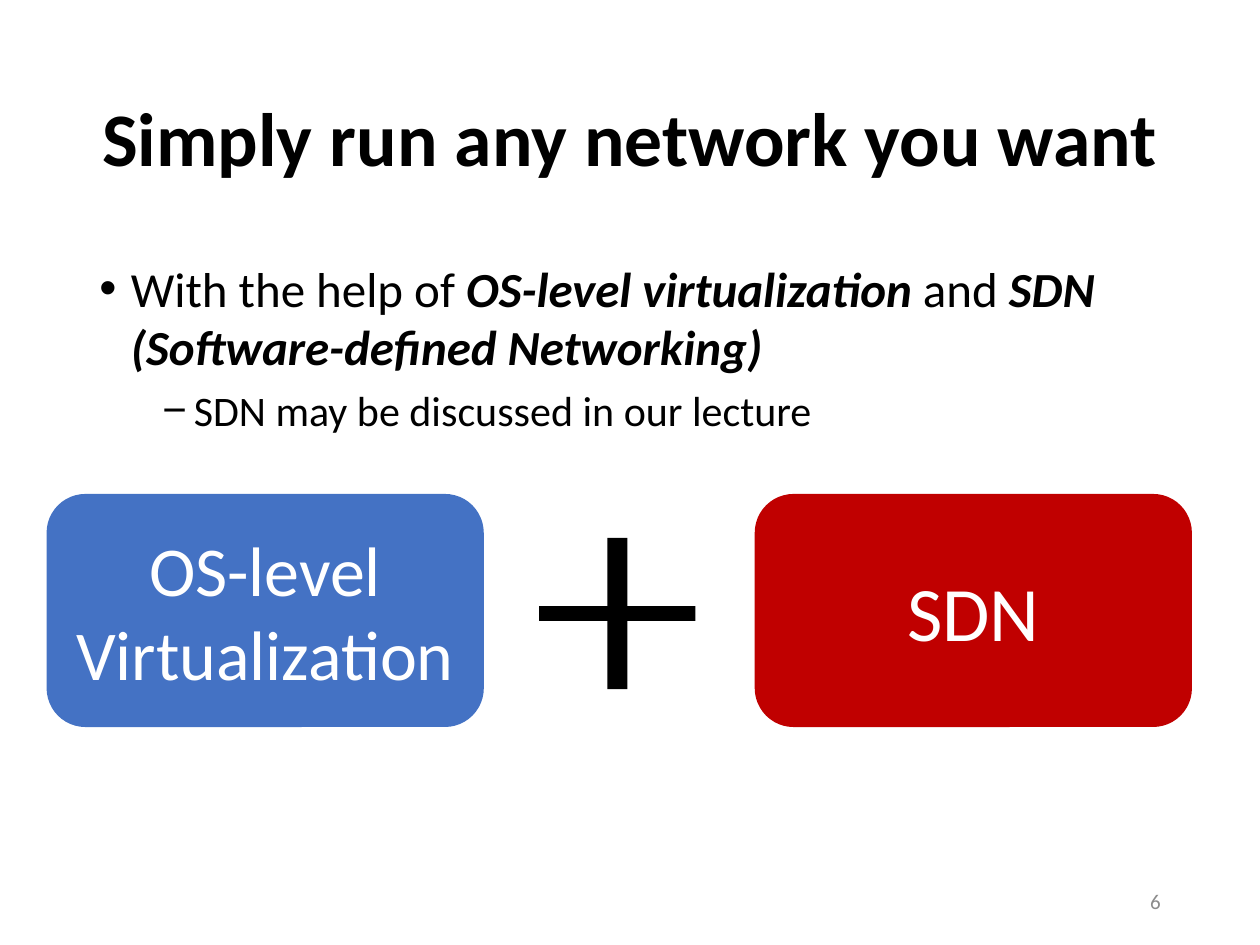
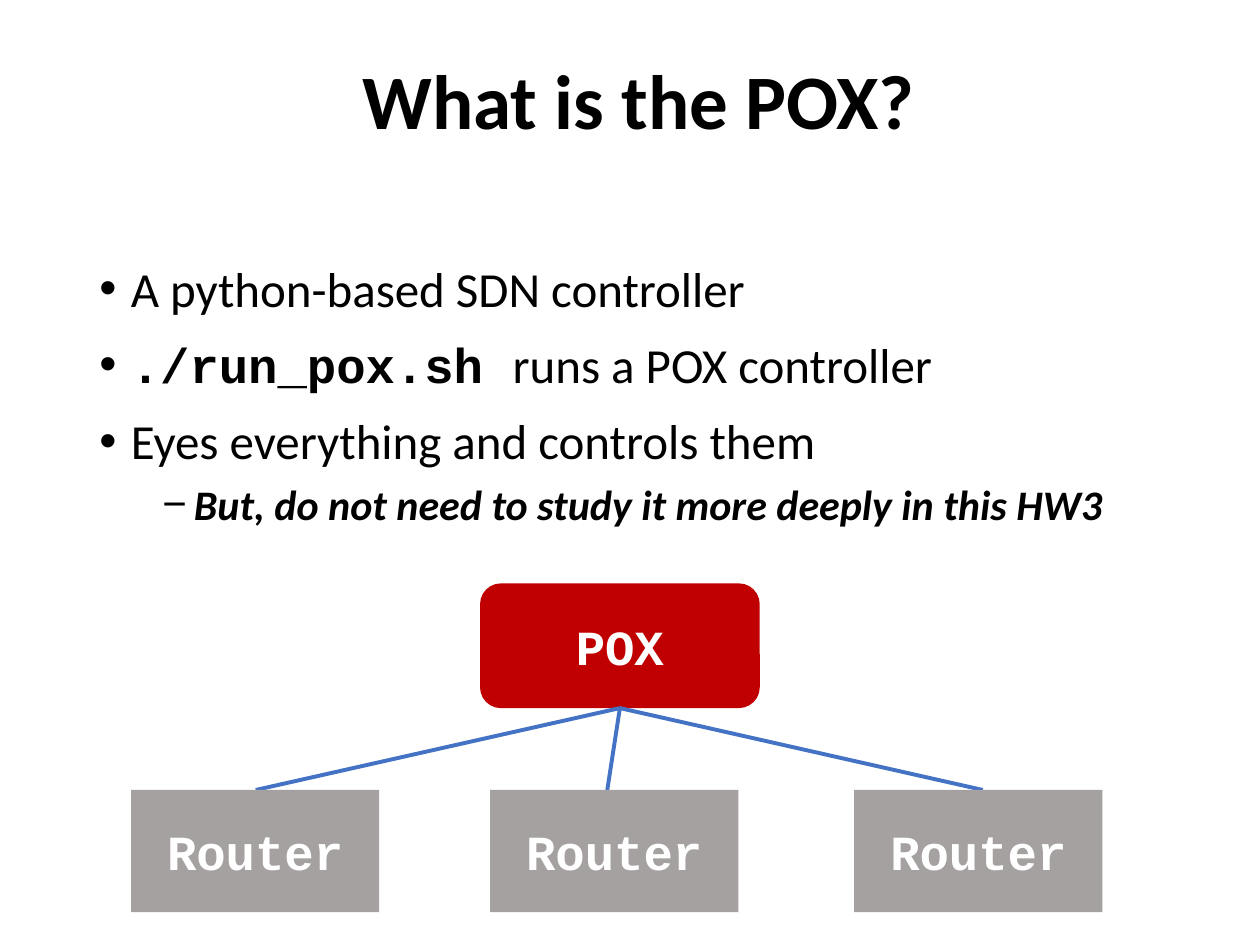
from dataclasses import dataclass

from pptx import Presentation
from pptx import util as u
from pptx.dml import color
from pptx.enum import shapes, text
from pptx.oxml import xmlchemy as xml

KIND = shapes.MSO_SHAPE
ALIGN = text.PP_ALIGN
ANCHOR = text.MSO_ANCHOR


@dataclass(frozen=True)
class Theme:
    black: str = "000000"
    white: str = "FFFFFF"
    blue: str = "4472C4"
    red: str = "C00000"
    gray: str = "A6A1A1"
    faint: str = "8C8C8C"
    sans: str = "Calibri"
    mono: str = "Courier New"
    title: float = 44
    tight: float = 43.2
    large: float = 40
    body: float = 28
    sub: float = 24
    small: float = 12


THEME = Theme()
STRONG = {"bold": True, "italic": True}
CODE = {"bold": True, "name": THEME.mono}
LEVELS = [
    {"mark": "•", "left": 0.25, "gap": 10, "size": THEME.body},
    {"mark": "−", "left": 0.75, "gap": 5, "size": THEME.sub},
]


class Deck:
    def __init__(self, theme):
        self.theme = theme
        self.file = Presentation()
        self.file.slide_width = u.Inches(10)
        self.file.slide_height = u.Inches(7.5)
        self.slide = None

    def page(self):
        self.slide = self.file.slides.add_slide(self.file.slide_layouts[6])

    def style(self, font, size, tint, **look):
        values = {"name": self.theme.sans, "size": u.Pt(size)} | look
        for key, value in values.items():
            setattr(font, key, value)
        font.color.rgb = color.RGBColor.from_string(tint)

    def frame(self, left, top, width, height, anchor=ANCHOR.TOP):
        box = self.slide.shapes.add_textbox(*map(u.Inches, (left, top, width, height)))
        box.text_frame.word_wrap = True
        box.text_frame.vertical_anchor = anchor
        return box.text_frame

    def label(self, frame, words, size, tint, align=ALIGN.CENTER, **look):
        para = frame.paragraphs[0]
        para.alignment = align
        run = para.add_run()
        run.text = words
        self.style(run.font, size, tint, **look)
        return para

    def title(self, words, size, left=0.69, anchor=ANCHOR.MIDDLE, inset=0.05):
        frame = self.frame(left, 0.4, 8.62, 1.45, anchor)
        frame.margin_top = frame.margin_bottom = u.Inches(inset)
        para = self.label(frame, words, size, self.theme.black, bold=True)
        para.line_spacing = 0.9

    def number(self, words):
        frame = self.frame(7.06, 6.95, 2.25, 0.4, ANCHOR.MIDDLE)
        self.label(frame, words, self.theme.small, self.theme.faint, ALIGN.RIGHT)

    def bullets(self, items):
        frame = self.frame(0.69, 2, 8.62, 4.76)
        for index, (depth, runs) in enumerate(items):
            level = LEVELS[depth]
            para = frame.paragraphs[0] if index == 0 else frame.add_paragraph()
            props = para._p.get_or_add_pPr()
            props.set("marL", str(u.Inches(level["left"])))
            props.set("indent", str(u.Inches(-0.25)))
            for tag, key, value in (
                ("a:buFont", "typeface", "Arial"),
                ("a:buChar", "char", level["mark"]),
            ):
                item = xml.OxmlElement(tag)
                item.set(key, value)
                props.append(item)
            para.level = depth
            if index:
                para.space_before = u.Pt(level["gap"])
            for words, look in runs:
                run = para.add_run()
                run.text = words
                self.style(run.font, level["size"], self.theme.black, **look)

    def block(self, kind, place, fill, words="", size=None, **look):
        shape = self.slide.shapes.add_shape(kind, *map(u.Inches, place))
        shape.shadow.inherit = False
        shape.fill.solid()
        shape.fill.fore_color.rgb = color.RGBColor.from_string(fill)
        shape.line.fill.background()
        if words:
            shape.text_frame.word_wrap = True
            shape.text_frame.vertical_anchor = ANCHOR.MIDDLE
            self.label(shape.text_frame, words, size, self.theme.white, **look)
        return shape

    def link(self, start, left, top):
        line = self.slide.shapes.add_connector(
            shapes.MSO_CONNECTOR.STRAIGHT, 0, 0, u.Inches(left), u.Inches(top)
        )
        line.begin_connect(start, 2)
        line.line.color.rgb = color.RGBColor.from_string(self.theme.blue)
        line.line.width = u.Pt(2.25)
        line._element.spPr.append(xml.OxmlElement("a:effectLst"))


def network(deck):
    look = deck.theme
    deck.page()
    deck.title("Simply run any network you want", look.tight)
    deck.bullets([
        (0, [
            ("With the help of ", {}),
            ("OS-level virtualization", STRONG),
            (" and ", {}),
            ("SDN (Software-defined Networking)", STRONG),
        ]),
        (1, [("SDN may be discussed in our lecture", {})]),
    ])
    deck.number("6")
    for left, fill, words, size in (
        (0.37, look.blue, "OS-level Virtualization", look.large),
        (5.99, look.red, "SDN", look.title),
    ):
        deck.block(KIND.ROUNDED_RECTANGLE, (left, 3.92, 3.47, 1.85), fill, words, size)
    plus = deck.block(KIND.CROSS, (4.28, 4.27, 1.24, 1.2), look.black)
    plus.adjustments[0] = 0.451


def control(deck):
    look = deck.theme
    deck.page()
    deck.title("What is the POX?", look.title, 0.76, ANCHOR.TOP, 0.1)
    deck.bullets([
        (0, [("A python-based SDN controller", {})]),
        (0, [("./run_pox.sh ", CODE), ("runs a POX controller", {})]),
        (0, [("Eyes everything and controls them", {})]),
        (1, [("But, do not need to study it more deeply in this HW3", STRONG)]),
    ])
    pox = deck.block(
        KIND.ROUNDED_RECTANGLE, (3.81, 4.63, 2.22, 0.99), look.red, "POX", look.body, **CODE
    )
    top = 6.27
    for left, end in ((1.04, 2.03), (3.89, 4.82), (6.78, 7.8)):
        deck.link(pox, end, top)
        deck.block(
            KIND.RECTANGLE, (left, top, 1.97, 0.97), look.gray, "Router", look.body, **CODE
        )


def main():
    deck = Deck(THEME)
    network(deck)
    control(deck)
    deck.file.save("out.pptx")


if __name__ == "__main__":
    main()
